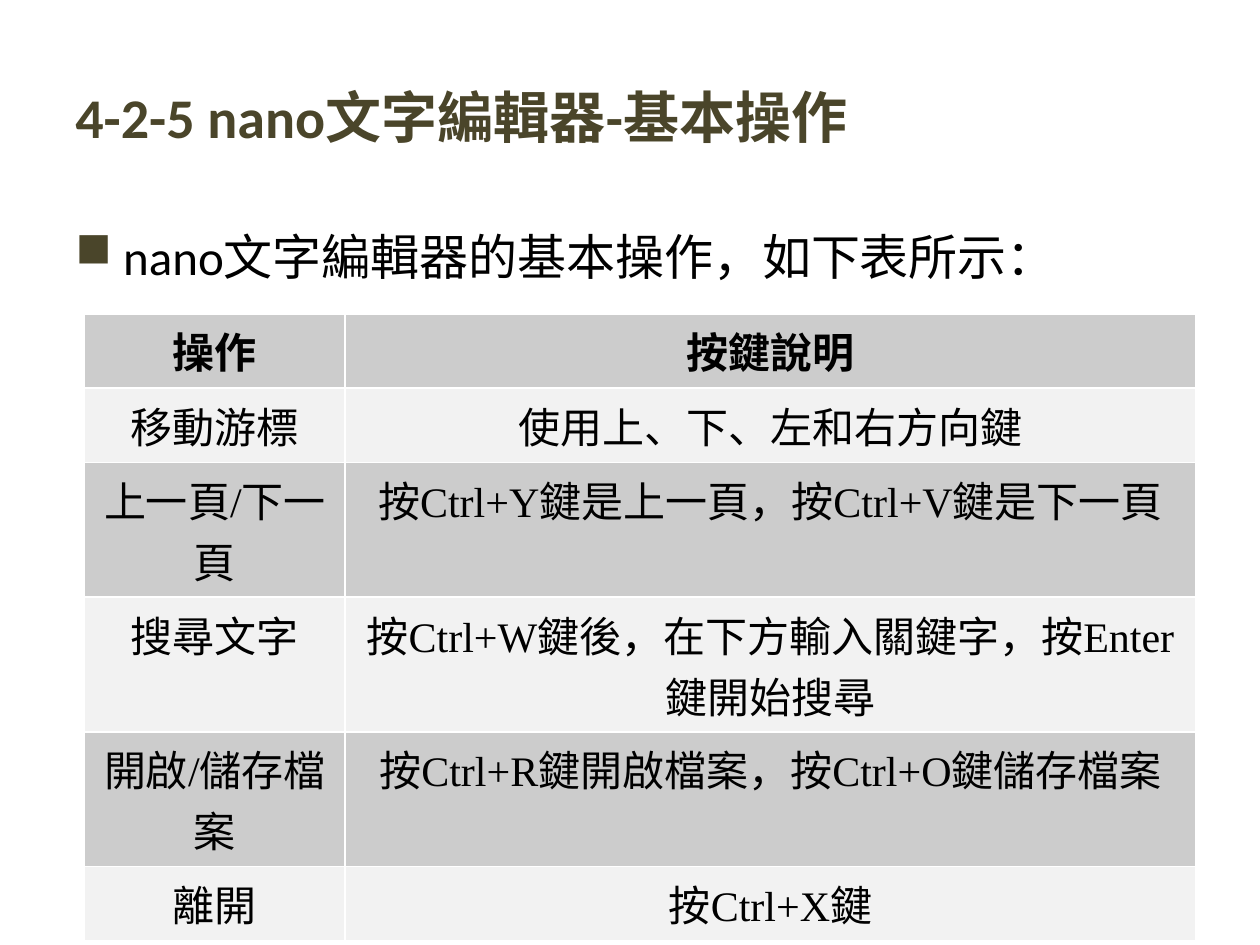
from lxml.etree import SubElement
from pptx import Presentation
from pptx.dml.color import RGBColor
from pptx.enum.text import MSO_ANCHOR, PP_ALIGN
from pptx.oxml.ns import qn
from pptx.util import Inches, Pt

OLIVE = "4A452A"
BLACK = "000000"
WHITE = "FFFFFF"
BANDS = ("CCCCCC", "F2F2F2")
OPERATIONS = [
    ("操作", "按鍵說明"),
    ("移動游標", "使用上、下、左和右方向鍵"),
    ("上一頁/下一頁", "按Ctrl+Y鍵是上一頁，按Ctrl+V鍵是下一頁"),
    ("搜尋文字", "按Ctrl+W鍵後，在下方輸入關鍵字，按Enter鍵開始搜尋"),
    ("開啟/儲存檔案", "按Ctrl+R鍵開啟檔案，按Ctrl+O鍵儲存檔案"),
    ("離開", "按Ctrl+X鍵"),
]


def rgb(value):
    """Turn a hex string into a colour."""
    return RGBColor.from_string(value)


def write(tf, text, size, font, color=BLACK, bold=False, align=PP_ALIGN.LEFT):
    """Write one formatted paragraph and return it."""
    p = tf.paragraphs[0]
    p.alignment = align
    r = p.add_run()
    r.text = text
    r.font.size, r.font.name, r.font.bold = Pt(size), font, bold
    r.font.color.rgb = rgb(color)
    return p


def add_bullet(p, char, color, indent):
    """Give a paragraph a coloured bullet and a hanging indent."""
    pPr = p._p.get_or_add_pPr()
    pPr.set("marL", str(indent))
    pPr.set("indent", str(-indent))
    clr = SubElement(pPr, qn("a:buClr"))
    SubElement(clr, qn("a:srgbClr"), val=color)
    SubElement(pPr, qn("a:buChar"), char=char)


def add_border(cell, side, color, width):
    """Draw a solid border on one side of a cell."""
    ln = SubElement(cell._tc.get_or_add_tcPr(), qn(f"a:ln{side}"), w=str(Pt(width)))
    fill = SubElement(ln, qn("a:solidFill"))
    SubElement(fill, qn("a:srgbClr"), val=color)


class SlideBuilder:
    """Hold the style and the current slide."""

    heading_font = "Calibri"
    table_font = "Times New Roman"

    def __init__(self, prs):
        """Add a blank slide."""
        self.s = prs.slides.add_slide(prs.slide_layouts[6])

    def text_frame(self, x, y, w, h, anchor=MSO_ANCHOR.TOP):
        """Add a wrapping text box and return its text frame."""
        sp = self.s.shapes.add_textbox(Inches(x), Inches(y), Inches(w), Inches(h))
        tf = sp.text_frame
        tf.word_wrap = True
        tf.vertical_anchor = anchor
        return tf

    def title(self, text):
        """Add the slide title."""
        tf = self.text_frame(0.5, 0.3, 9, 1.25, MSO_ANCHOR.MIDDLE)
        write(tf, text, 32, self.heading_font, color=OLIVE, bold=True)

    def bullet(self, text):
        """Add the bulleted introduction."""
        tf = self.text_frame(0.5, 1.75, 9, 4.95)
        p = write(tf, text, 28, self.heading_font)
        add_bullet(p, "■", OLIVE, Inches(0.38))

    def table(self, x, y, widths, heights, rows):
        """Add a banded table with white inner borders."""
        sp = self.s.shapes.add_table(
            len(rows), len(widths), Inches(x), Inches(y),
            Inches(sum(widths)), Inches(sum(heights)))
        table = sp.table
        for col, width in zip(table.columns, widths):
            col.width = Inches(width)
        for i, (height, row) in enumerate(zip(heights, rows)):
            table.rows[i].height = Inches(height)
            for j, text in enumerate(row):
                cell = table.cell(i, j)
                inner = {"L": j > 0, "R": j < len(row) - 1,
                         "T": i > 0, "B": i < len(rows) - 1}
                for side, shown in inner.items():
                    if shown:
                        add_border(cell, side, WHITE, 0.96)
                cell.fill.solid()
                cell.fill.fore_color.rgb = rgb(BANDS[i % 2])
                write(cell.text_frame, text, 24, self.table_font,
                      bold=i == 0, align=PP_ALIGN.CENTER)


def main():
    """Build and save the slide."""
    prs = Presentation()
    prs.slide_width, prs.slide_height = Inches(10), Inches(7.5)
    slide = SlideBuilder(prs)
    slide.title("4-2-5 nano文字編輯器-基本操作")
    slide.bullet("nano文字編輯器的基本操作，如下表所示：")
    one, two = 0.59, 1.07
    slide.table(0.67, 2.49, (2.07, 6.75), (one, one, two, two, two, one), OPERATIONS)
    prs.save("out.pptx")


if __name__ == "__main__":
    main()
